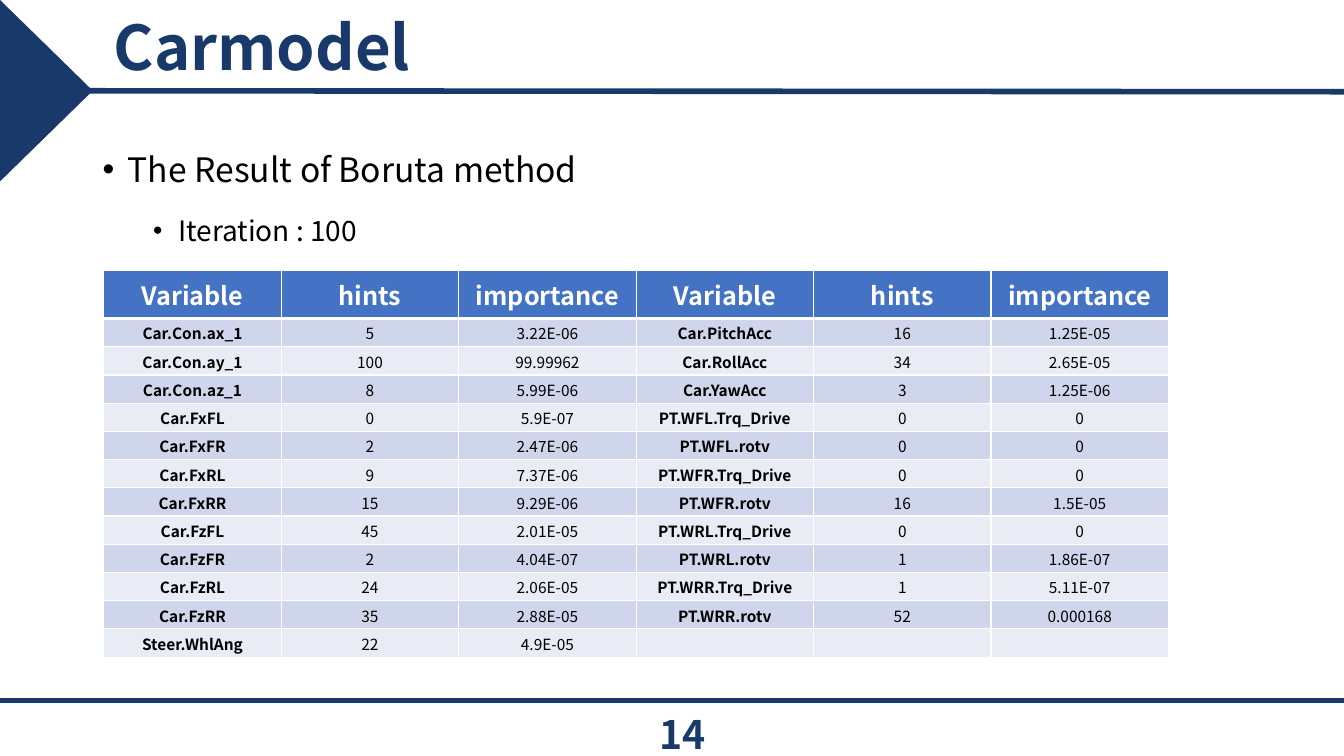
from lxml.etree import SubElement
from pptx import Presentation
from pptx.dml.color import RGBColor
from pptx.enum.shapes import MSO_CONNECTOR, MSO_SHAPE
from pptx.enum.text import MSO_ANCHOR, PP_ALIGN
from pptx.oxml.ns import qn
from pptx.util import Inches, Pt

FONT = "Noto Sans CJK KR"
NAVY, BLACK, WHITE = "18396A", "000000", "FFFFFF"
HEAD_FILL, BANDS = "4472C4", ("CFD5EA", "E9EBF5")

# Content
TITLE = "Carmodel"
PAGE = "14"
# text, size, left margin, bullet percent, space before
POINTS = [
    ("The Result of Boruta method", 24, 0.25, 100, 0),
    ("Iteration : 100", 20, 0.75, 95, 5),
]
HEAD = ("Variable", "hints", "importance")
LEFT = [
    ("Car.Con.ax_1", "5", "3.22E-06"),
    ("Car.Con.ay_1", "100", "99.99962"),
    ("Car.Con.az_1", "8", "5.99E-06"),
    ("Car.FxFL", "0", "5.9E-07"),
    ("Car.FxFR", "2", "2.47E-06"),
    ("Car.FxRL", "9", "7.37E-06"),
    ("Car.FxRR", "15", "9.29E-06"),
    ("Car.FzFL", "45", "2.01E-05"),
    ("Car.FzFR", "2", "4.04E-07"),
    ("Car.FzRL", "24", "2.06E-05"),
    ("Car.FzRR", "35", "2.88E-05"),
    ("Steer.WhlAng", "22", "4.9E-05"),
]
RIGHT = [
    ("Car.PitchAcc", "16", "1.25E-05"),
    ("Car.RollAcc", "34", "2.65E-05"),
    ("Car.YawAcc", "3", "1.25E-06"),
    ("PT.WFL.Trq_Drive", "0", "0"),
    ("PT.WFL.rotv", "0", "0"),
    ("PT.WFR.Trq_Drive", "0", "0"),
    ("PT.WFR.rotv", "16", "1.5E-05"),
    ("PT.WRL.Trq_Drive", "0", "0"),
    ("PT.WRL.rotv", "1", "1.86E-07"),
    ("PT.WRR.Trq_Drive", "1", "5.11E-07"),
    ("PT.WRR.rotv", "52", "0.000168"),
    ("", "", ""),
]
ROWS = [HEAD + HEAD] + [a + b for a, b in zip(LEFT, RIGHT)]


def paint(target, color):
    target.solid()
    target.fore_color.rgb = RGBColor.from_string(color)


def style(para, size, color, bold=False):
    font = para.font
    font.name, font.size, font.bold = FONT, Pt(size), bold
    font.color.rgb = RGBColor.from_string(color)


def text_box(x, y, w, h, anchor):
    frame = slide.shapes.add_textbox(*map(Inches, (x, y, w, h))).text_frame
    frame.word_wrap = True
    frame.vertical_anchor = anchor
    return frame


def rule(y1, y2):
    line = slide.shapes.add_connector(
        MSO_CONNECTOR.STRAIGHT, 0, Inches(y1), deck.slide_width, Inches(y2))
    paint(line.line.fill, NAVY)
    line.line.width = Pt(4)
    SubElement(line._element.spPr, qn("a:effectLst"))


def bullet(para, margin, percent):
    props = para._p.get_or_add_pPr()
    props.set("marL", str(Inches(margin)))
    props.set("indent", str(Inches(-0.25)))
    SubElement(props, qn("a:buSzPct"), val=str(percent * 1000))
    SubElement(props, qn("a:buFont"), typeface="Arial")
    SubElement(props, qn("a:buChar"), char="•")


def border(cell, widths):
    props = cell._tc.get_or_add_tcPr()
    for spot, (side, width) in enumerate(zip("LRTB", widths)):
        line = props.makeelement(qn("a:ln" + side), w=str(Pt(width)))
        fill = SubElement(line, qn("a:solidFill"))
        SubElement(fill, qn("a:srgbClr"), val=WHITE)
        props.insert(spot, line)


deck = Presentation()
deck.slide_width, deck.slide_height = Inches(13.33), Inches(7.5)
slide = deck.slides.add_slide(deck.slide_layouts[6])

# Frame: rules and corner triangle
rule(6.95, 6.95)
corner = slide.shapes.add_shape(
    MSO_SHAPE.ISOSCELES_TRIANGLE, *map(Inches, (-0.44, 0.44, 1.8, 0.92)))
corner.rotation = 90
corner.shadow.inherit = False
paint(corner.fill, NAVY)
corner.line.fill.background()
rule(0.9, 0.91)

# Title
para = text_box(1.03, 0.1, 11.5, 0.8, MSO_ANCHOR.MIDDLE).paragraphs[0]
para.text = TITLE
para.line_spacing = 0.9
style(para, 44, NAVY, True)

# Bullet points
body = text_box(0.92, 1.23, 11.5, 5.53, MSO_ANCHOR.TOP)
for i, (text, size, margin, percent, before) in enumerate(POINTS):
    para = body.add_paragraph() if i else body.paragraphs[0]
    para.text = text
    para.level = i
    para.line_spacing = 1.5
    para.space_before = Pt(before)
    bullet(para, margin, percent)
    style(para, size, BLACK)

# Result table
grid = slide.shapes.add_table(
    len(ROWS), len(ROWS[0]), *map(Inches, (1.03, 2.68, 10.56, 3.84))).table
for col in grid.columns:
    col.width = Inches(1.76)
for r, row in enumerate(ROWS):
    head = r == 0
    grid.rows[r].height = Inches(0.48 if head else 0.28)
    for c, text in enumerate(row):
        cell = grid.cell(r, c)
        cell.vertical_anchor = MSO_ANCHOR.MIDDLE
        if not head:
            cell.margin_left = cell.margin_right = cell.margin_top = Inches(0.01)
            cell.margin_bottom = 0
        paint(cell.fill, HEAD_FILL if head else BANDS[(r - 1) % 2])
        border(cell, (1, 1, 3 if r == 1 else 1, 3 if head else 1))
        para = cell.text_frame.paragraphs[0]
        para.text = text
        para.alignment = PP_ALIGN.CENTER
        style(para, 18 if head else 11, WHITE if head else BLACK,
              head or c % len(HEAD) == 0)

# Page number
para = text_box(5.27, 7.08, 3, 0.4, MSO_ANCHOR.MIDDLE).paragraphs[0]
para.text = PAGE
para.alignment = PP_ALIGN.CENTER
style(para, 28, NAVY, True)

deck.save("out.pptx")
